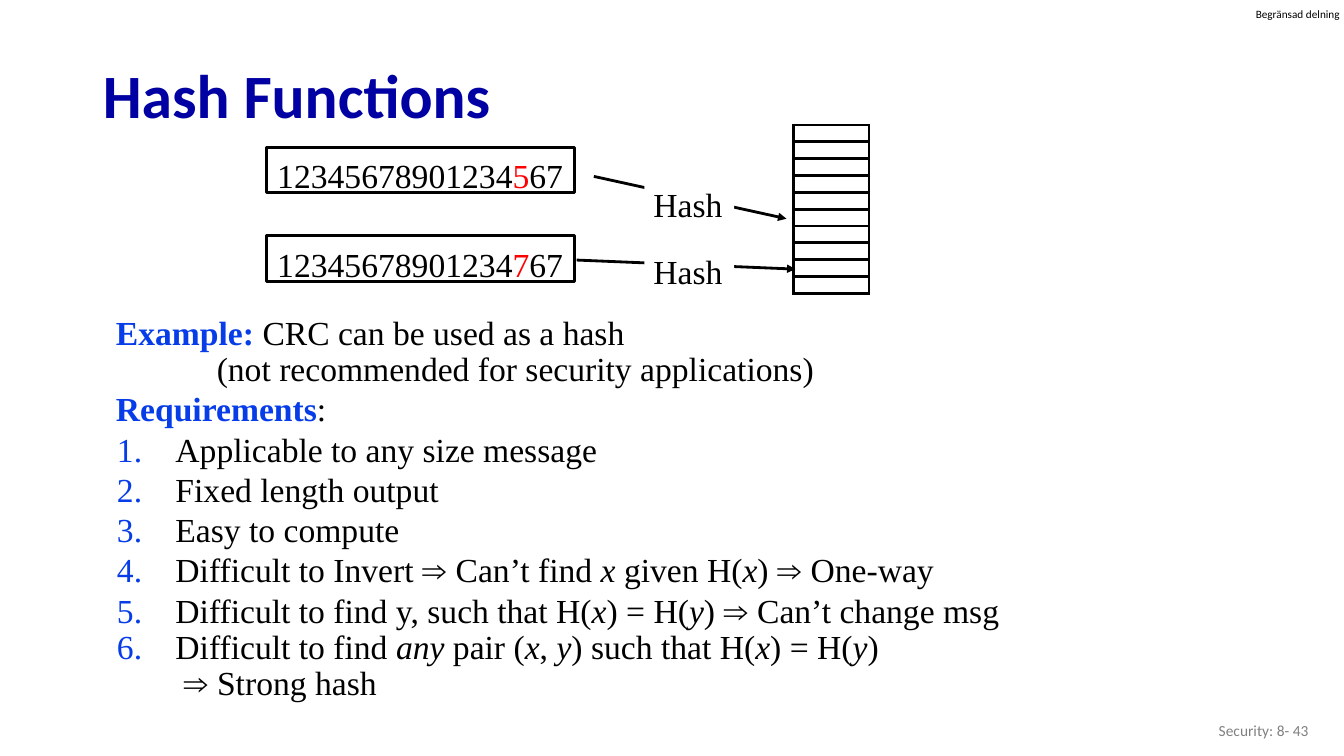
from lxml import etree
from pptx import Presentation
from pptx import util as u
from pptx.dml.color import RGBColor
from pptx.enum import shapes, text
from pptx.oxml.ns import qn

SERIF, SANS = "Times New Roman", "Calibri"
BLACK, WHITE, BLUE, RED = "000000", "FFFFFF", "063DE8", "FF0000"
NAVY, GRAY = "0000A3", "808080"


def color(value):
    return RGBColor.from_string(value)


def child(parent, tag, **attributes):
    return etree.SubElement(parent, qn(tag), attributes)


def set_frame(frame, left=0, top=0, anchor=text.MSO_ANCHOR.TOP, wrap=True):
    frame.word_wrap = wrap
    frame.auto_size = text.MSO_AUTO_SIZE.NONE
    frame.vertical_anchor = anchor
    frame.margin_left, frame.margin_top = u.Inches(left), u.Inches(top)
    frame.margin_right = frame.margin_bottom = 0


def set_font(paragraph, size=24, name=SERIF, shade=BLACK, bold=False):
    font = paragraph.font
    font.size, font.name, font.bold = u.Pt(size), name, bold
    font.color.rgb = color(shade)


def add_runs(paragraph, content, mark, style):
    """Split content at mark and style every second piece."""
    for index, piece in enumerate(content.split(mark)):
        if piece:
            run = paragraph.add_run()
            run.text = piece
            if index % 2:
                style(run.font)


def make_red(font):
    font.color.rgb = color(RED)


def make_heading(font):
    font.bold = True
    font.color.rgb = color(BLUE)


def make_italic(font):
    font.italic = True


def add_box(slide, left, top, width, height):
    return slide.shapes.add_textbox(*map(u.Inches, (left, top, width, height)))


def add_label(slide, content, left, top, width, height, size, shade, anchor):
    frame = add_box(slide, left, top, width, height).text_frame
    set_frame(frame, anchor=anchor, wrap=False)
    paragraph = frame.paragraphs[0]
    paragraph.text = content
    paragraph.alignment = text.PP_ALIGN.RIGHT
    set_font(paragraph, size, SANS, shade)


def add_title(slide, content, left, top, width, height):
    title = slide.shapes.title
    title.left, title.top, title.width, title.height = map(
        u.Inches, (left, top, width, height))
    set_frame(title.text_frame, 0.1, 0.05, text.MSO_ANCHOR.MIDDLE)
    title.text_frame.margin_bottom = u.Inches(0.05)
    paragraph = title.text_frame.paragraphs[0]
    paragraph.text = content
    paragraph.alignment = text.PP_ALIGN.LEFT
    paragraph.line_spacing = 0.9
    set_font(paragraph, 44, SANS, NAVY, True)


def add_rectangle(slide, content, left, top, width, height, inset, fill, line):
    shape = slide.shapes.add_shape(
        shapes.MSO_SHAPE.RECTANGLE, *map(u.Inches, (left, top, width, height)))
    shape.shadow.inherit = False
    if fill:
        shape.fill.solid()
        shape.fill.fore_color.rgb = color(fill)
    else:
        shape.fill.background()
    if line:
        shape.line.color.rgb = color(line)
        shape.line.width = u.Pt(2)
    else:
        shape.line.fill.background()
    set_frame(shape.text_frame, *inset, wrap=False)
    paragraph = shape.text_frame.paragraphs[0]
    paragraph.alignment = text.PP_ALIGN.LEFT
    set_font(paragraph)
    add_runs(paragraph, content, "|", make_red)


def add_arrow(slide, start, end):
    arrow = slide.shapes.add_connector(
        shapes.MSO_CONNECTOR.STRAIGHT, *map(u.Inches, (*start, *end)))
    arrow.line.color.rgb = color(BLACK)
    arrow.line.width = u.Pt(2)
    child(arrow.line._get_or_add_ln(), "a:tailEnd", type="triangle")
    child(arrow._element.spPr, "a:effectLst")


def add_hash_table(slide, left, top, width, height, rows=10):
    frame = slide.shapes.add_table(
        rows, 1, *map(u.Inches, (left, top, width, height)))
    table = frame.table
    table.first_row = table.horz_banding = False
    for row in table.rows:
        row.height = u.Inches(height / rows)
        cell = row.cells[0]
        cell.margin_left = cell.margin_right = 0
        cell.margin_top = cell.margin_bottom = 0
        child(cell.text_frame.paragraphs[0]._p, "a:endParaRPr", sz="400")
        properties = cell._tc.get_or_add_tcPr()
        for side in ("a:lnL", "a:lnR", "a:lnT", "a:lnB"):
            border = child(properties, side, w=str(u.Pt(2.25)))
            child(child(border, "a:solidFill"), "a:srgbClr", val=BLACK)
        cell.fill.background()


def add_hash_diagram(slide, left, top):
    add_hash_table(slide, left + 5.23, top, 0.75, 1.67)
    # Message, its top, arrow start and end, top of the Hash label
    flows = [
        ("12345678901234|5|67", 0.22, (3.25, 0.51), (5.16, 0.93), 0.51),
        ("12345678901234|7|67", 1.1, (3.08, 1.34), (5.25, 1.43), 1.18),
    ]
    for message, offset, start, end, hash_top in flows:
        add_rectangle(slide, message, left, top + offset, 3.06, 0.45,
                      (0.11, 0.08), None, BLACK)
        add_arrow(slide, (left + start[0], top + start[1]),
                  (left + end[0], top + end[1]))
        add_rectangle(slide, "Hash", left + 3.75, top + hash_top, 0.89, 0.51,
                      (0.09, 0.07), WHITE, None)


def add_example(slide, left, top, width, height):
    frame = add_box(slide, left, top, width, height).text_frame
    set_frame(frame, 0, 0.02)
    lines = [
        ("|Example: |CRC can be used as a hash", 0.01, 25.9),
        ("(not recommended for security applications)", 1.01, 25.9),
        ("|Requirements|:", 0.01, 28.8),
    ]
    for index, (content, indent, spacing) in enumerate(lines):
        paragraph = frame.add_paragraph() if index else frame.paragraphs[0]
        paragraph._p.get_or_add_pPr().set("marL", str(u.Inches(indent)))
        paragraph.line_spacing = u.Pt(spacing)
        set_font(paragraph)
        add_runs(paragraph, content, "|", make_heading)


def add_requirements(slide, left, top, width, height):
    body = slide.placeholders[1]
    body.left, body.top, body.width, body.height = map(
        u.Inches, (left, top, width, height))
    set_frame(body.text_frame, 0, 0.02)
    # Text with *italics*, line spacing, numbered
    lines = [
        ("Applicable to any size message", 28.8, True),
        ("Fixed length output", 28.8, True),
        ("Easy to compute", 28.8, True),
        ("Difficult to Invert ⇒ Can’t find *x *given H(*x*) ⇒ One-way", 28.8, True),
        ("Difficult to find y, such that H(*x*) = H(*y*) ⇒ Can’t change msg", 28.8, True),
        ("Difficult to find *any *pair (*x*, *y*) such that H(*x*) = H(*y*)", 25.9, True),
        ("⇒ Strong hash", 26, False),
    ]
    for index, (content, spacing, numbered) in enumerate(lines):
        paragraph = (body.text_frame.add_paragraph() if index
                     else body.text_frame.paragraphs[0])
        properties = paragraph._p.get_or_add_pPr()
        properties.set("marL", str(u.Inches(0.6 if numbered else 0.68)))
        properties.set("indent", str(u.Inches(-0.58 if numbered else 0)))
        if numbered:
            child(child(properties, "a:buClr"), "a:srgbClr", val=BLUE)
            child(properties, "a:buFont", typeface=SERIF)
            child(properties, "a:buAutoNum", type="arabicPeriod")
        else:
            child(properties, "a:buNone")
        paragraph.space_before = u.Pt(0)
        paragraph.line_spacing = u.Pt(spacing)
        set_font(paragraph)
        # The arrow symbol is set in Arial
        for part in content.replace("⇒ ", "|⇒ |").split("|"):
            if part == "⇒ ":
                run = paragraph.add_run()
                run.text = part
                run.font.name = "Arial"
            else:
                add_runs(paragraph, part, "*", make_italic)


def main():
    presentation = Presentation()
    presentation.slide_width = u.Inches(13.33)
    presentation.slide_height = u.Inches(7.5)
    slide = presentation.slides.add_slide(presentation.slide_layouts[1])
    add_label(slide, "Begränsad delning", 12.43, 0.07, 0.86, 0.13, 8, BLACK,
              text.MSO_ANCHOR.TOP)
    add_title(slide, "Hash Functions", 0.92, 0.49, 11.5, 0.98)
    add_label(slide, "Security: 8- 43", 10.08, 7.05, 2.9, 0.4, 11, GRAY,
              text.MSO_ANCHOR.MIDDLE)
    add_example(slide, 1.14, 3.11, 6.95, 1.15)
    add_requirements(slide, 1.14, 4.23, 8.89, 2.75)
    add_hash_diagram(slide, 2.64, 1.24)
    presentation.save("out.pptx")


if __name__ == "__main__":
    main()
